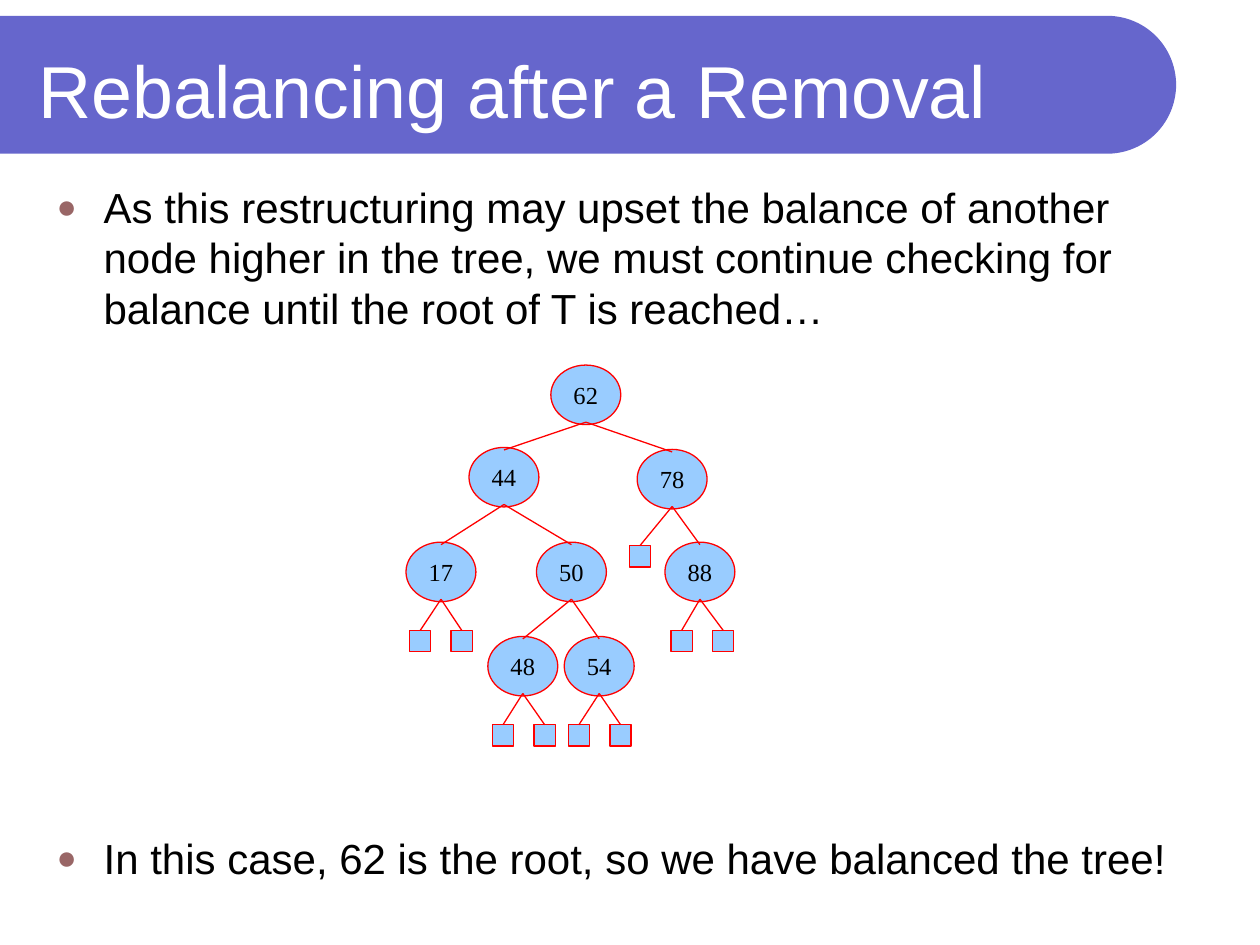
import math
from dataclasses import dataclass

from lxml import etree
from pptx import Presentation
from pptx.dml.color import RGBColor
from pptx.enum.shapes import MSO_CONNECTOR, MSO_SHAPE
from pptx.enum.text import MSO_ANCHOR, PP_ALIGN
from pptx.oxml.ns import qn
from pptx.util import Cm, Pt

OVAL, RECT = MSO_SHAPE.OVAL, MSO_SHAPE.RECTANGLE
STRAIGHT = MSO_CONNECTOR.STRAIGHT
MIDDLE, CENTER = MSO_ANCHOR.MIDDLE, PP_ALIGN.CENTER


@dataclass(frozen=True)
class Theme:
    band: RGBColor = RGBColor(0x66, 0x66, 0xCC)
    fill: RGBColor = RGBColor(0x99, 0xCC, 0xFF)
    line: RGBColor = RGBColor(0xFF, 0x00, 0x00)
    ink: RGBColor = RGBColor(0x00, 0x00, 0x00)
    light: RGBColor = RGBColor(0xFF, 0xFF, 0xFF)
    bullet: str = "996666"
    sans: str = "Arial"
    serif: str = "Times New Roman"
    title: float = 42
    body: float = 24
    key: float = 14
    stroke: float = 0.75


@dataclass(frozen=True)
class Node:
    """A tree node by centre x and top y in cm; one without a key is a leaf."""
    x: float
    y: float
    key: str = ""
    kids: tuple["Node", ...] = ()


THEME = Theme()
NODE_W, NODE_H = 1.41, 1.2
LEAF = 0.43
LEAF_GAP = 0.84
LEAF_DROP = 1.78
INSET = 0.05  # how far an edge reaches into a node
ROW_3, ROW_4 = 10.93, 12.83


def twig(x: float, y: float, key: str, left: float) -> Node:
    """A node with two leaves, the first centred at left."""
    low = y + LEAF_DROP
    return Node(x, y, key, (Node(left, low), Node(left + LEAF_GAP, low)))


TREE = Node(11.81, 7.36, "62", (
    Node(10.16, 9.02, "44", (
        twig(8.89, ROW_3, "17", 8.47),
        Node(11.52, ROW_3, "50", (
            twig(10.54, ROW_4, "48", 10.14),
            twig(12.08, ROW_4, "54", 11.67))))),
    Node(13.55, 9.06, "78", (
        Node(12.9, 11.0),
        twig(14.11, ROW_3, "88", 13.74)))))

POINTS = (
    ("As this restructuring may upset the balance of another node higher in "
     "the tree, we must continue checking for balance until the root of T is "
     "reached…", 0),
    ("In this case, 62 is the root, so we have balanced the tree!", 286),
)


def style(para, face: str, size: float, color: RGBColor) -> None:
    font = para.font
    font.name, font.size = face, Pt(size)
    font.color.rgb = color


def draw_band(slide) -> None:
    """Draw the title band, flat on the left and round on the right."""
    top, right, rad = 0.32, 23.71, 1.39
    mid_x, mid_y = right - rad, top + rad
    turns = [math.radians(deg) for deg in range(-90, 91, 3)]
    arc = [(Cm(mid_x + rad * math.cos(turn)), Cm(mid_y + rad * math.sin(turn)))
           for turn in turns]
    form = slide.shapes.build_freeform(Cm(0), Cm(top))
    form.add_line_segments(arc + [(Cm(0), Cm(top + 2 * rad))], close=True)
    band = form.convert_to_shape()
    band.shadow.inherit = False
    band.fill.solid()
    band.fill.fore_color.rgb = THEME.band
    band.line.fill.background()


def draw_edge(slide, node: Node, kid: Node) -> None:
    end = kid.y + (INSET if kid.key else 0)
    edge = slide.shapes.add_connector(
        STRAIGHT, Cm(node.x), Cm(node.y + NODE_H - INSET), Cm(kid.x), Cm(end))
    edge.line.color.rgb = THEME.line
    edge.line.width = Pt(THEME.stroke)
    etree.SubElement(edge._element.spPr, qn("a:effectLst"))


def draw_tree(slide, node: Node) -> None:
    """Draw a node and its subtree, with edges over the nodes they join."""
    kind, wide, high = (OVAL, NODE_W, NODE_H) if node.key else (RECT, LEAF, LEAF)
    shape = slide.shapes.add_shape(
        kind, Cm(node.x - wide / 2), Cm(node.y), Cm(wide), Cm(high))
    shape.shadow.inherit = False
    shape.fill.solid()
    shape.fill.fore_color.rgb = THEME.fill
    shape.line.color.rgb = THEME.line
    shape.line.width = Pt(THEME.stroke)
    if node.key:
        frame = shape.text_frame
        frame.word_wrap = False
        frame.vertical_anchor = MIDDLE
        para = frame.paragraphs[0]
        para.text, para.alignment = node.key, CENTER
        style(para, THEME.serif, THEME.key, THEME.ink)
    for kid in node.kids:
        draw_tree(slide, kid)
        draw_edge(slide, node, kid)


def add_bullet(para) -> None:
    props = para._p.get_or_add_pPr()
    props.set("marL", str(Cm(0.95)))
    props.set("indent", str(Cm(-0.95)))
    color = etree.SubElement(props, qn("a:buClr"))
    etree.SubElement(color, qn("a:srgbClr"), val=THEME.bullet)
    etree.SubElement(props, qn("a:buSzPct"), val="80000")
    etree.SubElement(props, qn("a:buFont"), typeface=THEME.sans)
    etree.SubElement(props, qn("a:buChar"), char="●")


def add_frame(slide, left: float, top: float, wide: float, high: float):
    box = slide.shapes.add_textbox(Cm(left), Cm(top), Cm(wide), Cm(high))
    box.text_frame.word_wrap = True
    return box.text_frame


def draw_text(slide) -> None:
    head = add_frame(slide, 0.53, 0.53, 22.28, 2.54)
    head.vertical_anchor = MIDDLE
    para = head.paragraphs[0]
    para.text = "Rebalancing after a Removal"
    style(para, THEME.sans, THEME.title, THEME.light)

    body = add_frame(slide, 0.89, 3.53, 23.6, 14.6)
    for num, (text, gap) in enumerate(POINTS):
        para = body.add_paragraph() if num else body.paragraphs[0]
        para.text = text
        if gap:
            para.space_before = Pt(gap)
        add_bullet(para)
        style(para, THEME.sans, THEME.body, THEME.ink)


def main() -> None:
    deck = Presentation()
    deck.slide_width, deck.slide_height = Cm(25.4), Cm(19.05)
    slide = deck.slides.add_slide(deck.slide_layouts[6])
    draw_band(slide)
    draw_tree(slide, TREE)
    draw_text(slide)
    deck.save("out.pptx")


if __name__ == "__main__":
    main()
